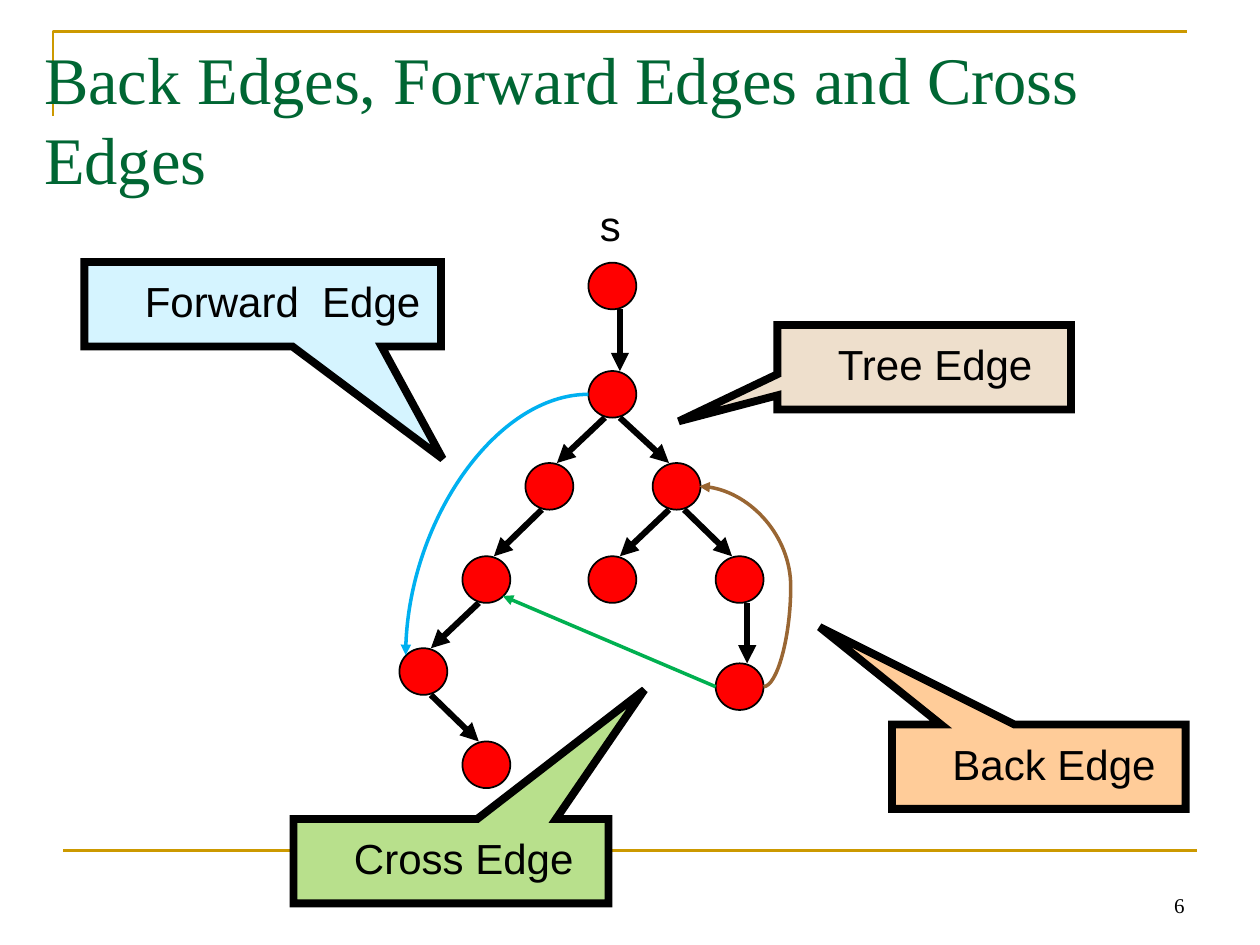
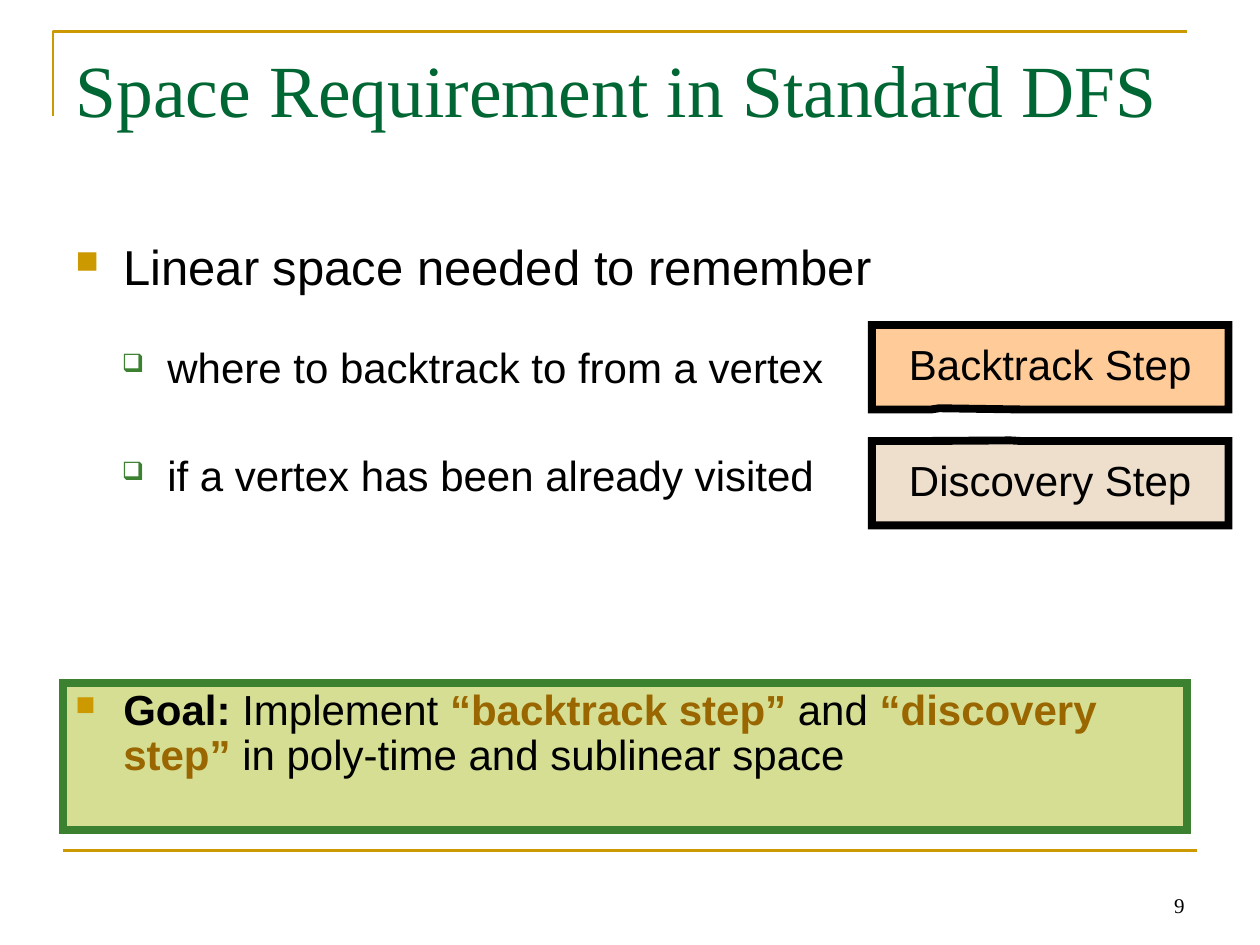
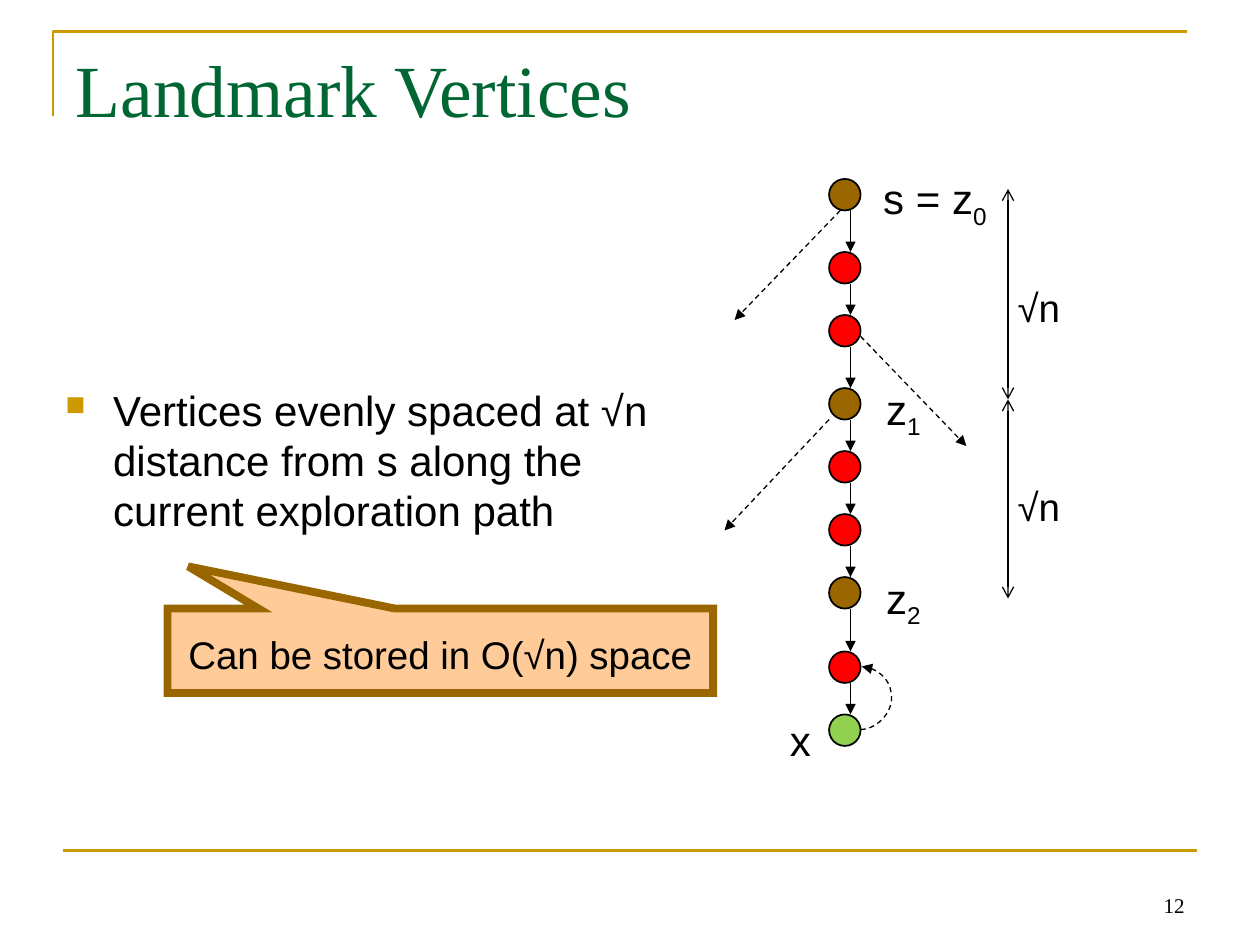
from lxml.etree import SubElement
from pptx import Presentation
from pptx.dml.color import RGBColor
from pptx.enum.dml import MSO_LINE
from pptx.enum.shapes import MSO_CONNECTOR as LINK, MSO_SHAPE as SHAPE
from pptx.enum.text import MSO_ANCHOR as ANCHOR, MSO_AUTO_SIZE as FIT, PP_ALIGN as ALIGN
from pptx.oxml.ns import qn
from pptx.util import Inches, Pt

BLACK = RGBColor(0x00, 0x00, 0x00)
GOLD = RGBColor(0xCC, 0x99, 0x00)
PINE = RGBColor(0x00, 0x66, 0x33)
LEAF = RGBColor(0x3B, 0x81, 0x2F)
RED = RGBColor(0xFF, 0x00, 0x00)
OCHRE = RGBColor(0x99, 0x66, 0x00)
BROWN = RGBColor(0x99, 0x66, 0x33)
BLUE = RGBColor(0x00, 0xB0, 0xF0)
GREEN = RGBColor(0x00, 0xB0, 0x50)
LIME = RGBColor(0x92, 0xD0, 0x50)
PEACH = RGBColor(0xFF, 0xCC, 0x99)
SAND = RGBColor(0xEE, 0xDF, 0xCC)
SKY = RGBColor(0xD5, 0xF4, 0xFF)
MOSS = RGBColor(0xB8, 0xE0, 0x8C)
OLIVE = RGBColor(0xD5, 0xDE, 0x92)
SANS, SERIF = "Arial", "Times New Roman"


def style(para, size, color=BLACK, face=SANS):
    for run in para.runs:
        run.font.size = Pt(size)
        run.font.name = face
        run.font.color.rgb = color


def join(slide, start, end, color=BLACK, width=0.75, kind=LINK.STRAIGHT,
         dash=False, head=None, tail="triangle"):
    """Draw a line between two points in inches, without a shadow."""
    link = slide.shapes.add_connector(kind, *map(Inches, (*start, *end)))
    link.line.color.rgb = color
    link.line.width = Pt(width)
    if dash:
        link.line.dash_style = MSO_LINE.DASH
    ln = link.line._get_or_add_ln()
    for tag, tip in (("a:headEnd", head), ("a:tailEnd", tail)):
        if tip:
            SubElement(ln, qn(tag)).set("type", tip)
    SubElement(link._element.spPr, qn("a:effectLst"))
    return link


deck = Presentation()
deck.slide_width, deck.slide_height = Inches(10), Inches(7.5)

# Title, corner band, bottom rule and page number of each slide
slides = []
for words, size, left, top, width, page in (
    ("Back Edges, Forward Edges and Cross Edges", 38, 0.25, 0.25, 9.58, 6),
    ("Space Requirement in Standard DFS", 42, 0.5, 0.3, 9, 9),
    ("Landmark Vertices", 42, 0.5, 0.3, 9, 12),
):
    slide = deck.slides.add_slide(deck.slide_layouts[5])
    slides.append(slide)
    path = slide.shapes.build_freeform(Inches(0.42), Inches(0.92))
    path.add_line_segments([(Inches(0.42), Inches(0.25)),
                            (Inches(9.42), Inches(0.25))], close=False)
    band = path.convert_to_shape()
    band.fill.background()
    band.line.color.rgb = GOLD
    band.line.width = Pt(1.5)
    band.shadow.inherit = False
    join(slide, (0.5, 6.75), (9.5, 6.75), GOLD, 1.5, tail=None)

    title = slide.shapes.title
    slide.shapes._spTree.append(title._element)  # in front of the band
    title.left, title.top = Inches(left), Inches(top)
    title.width, title.height = Inches(width), Inches(1.25)
    frame = title.text_frame
    frame.text = words
    frame.auto_size = FIT.NONE
    frame.vertical_anchor = ANCHOR.TOP
    frame.paragraphs[0].alignment = ALIGN.LEFT
    style(frame.paragraphs[0], size, PINE, SERIF)

    box = slide.shapes.add_textbox(Inches(7.17), Inches(6.83), Inches(2.33), Inches(0.5))
    frame = box.text_frame
    frame.text = str(page)
    frame.word_wrap = True
    frame.vertical_anchor = ANCHOR.BOTTOM
    frame.paragraphs[0].alignment = ALIGN.RIGHT
    style(frame.paragraphs[0], 12, face=SERIF)
edges, space, marks = slides

# Search tree: centre of each vertex, then its edges
WIDE, HIGH, SHIFT = 0.38, 0.37, 0.06
tree = {
    "s": (4.86, 2.27), "a": (4.86, 3.13), "b": (4.36, 3.86), "c": (5.37, 3.86),
    "d": (3.86, 4.6), "e": (4.86, 4.6), "f": (5.87, 4.6),
    "g": (3.36, 5.33), "h": (5.87, 5.45), "i": (3.86, 6.07),
}
for one, two in ("sa", "ab", "ac", "bd", "ce", "cf", "dg", "fh", "gi"):
    (x1, y1), (x2, y2) = tree[one], tree[two]
    out = SHIFT if x2 >= x1 else -SHIFT
    into = -SHIFT if x2 > x1 else SHIFT
    join(edges, (x1 + out, y1 + HIGH / 2), (x2 + into, y2 - HIGH / 2), width=3.5)

# Path of landmarks
tops = (1.42, 2, 2.5, 3.08, 3.58, 4.08, 4.58, 5.17, 5.67)
tints = (OCHRE, RED, RED) * 2 + (OCHRE, RED, LIME)
DOT = 0.25
for y1, y2 in zip(tops, tops[1:]):
    join(marks, (6.75, y1 + DOT), (6.75, y2))

dots = [(edges, x - WIDE / 2, y - HIGH / 2, WIDE, HIGH, RED) for x, y in tree.values()]
dots += [(marks, 6.58, y, DOT, DOT, tint) for y, tint in zip(tops, tints)]
for slide, *spot, tint in dots:
    dot = slide.shapes.add_shape(SHAPE.OVAL, *map(Inches, spot))
    dot.fill.solid()
    dot.fill.fore_color.rgb = tint
    dot.line.color.rgb = BLACK
    dot.line.width = Pt(1)
    dot.shadow.inherit = False

# Edges outside the tree and side branches
join(edges, (5.68, 5.45), (3.99, 4.73), GREEN, 2)
ahead = join(edges, (4.67, 3.13), (3.22, 5.2), BLUE, 2, LINK.CURVE)
ahead._element.spPr.prstGeom.set("prst", "curvedConnector2")
back = join(edges, (6.06, 5.45), (5.55, 3.86), BROWN, 2, LINK.CURVE)
loop = join(marks, (6.83, 5.79), (6.84, 5.29), kind=LINK.CURVE, dash=True)
for link, bend in ((back, -42400), (loop, 2500000)):
    guide = SubElement(link._element.spPr.prstGeom.find(qn("a:avLst")), qn("a:gd"))
    guide.set("name", "adj1")
    guide.set("fmla", f"val {bend}")
for start, end in (((6.83, 2.67), (7.67, 3.54)), ((6.67, 1.67), (5.83, 2.54)),
                   ((6.58, 3.33), (5.75, 4.21))):
    join(marks, start, end, dash=True)
for y1, y2 in ((1.5, 3.17), (3.17, 4.75)):
    join(marks, (8, y1), (8, y2), head="arrow", tail="arrow")

# Vertex and distance labels, some with a subscript
for slide, left, top, width, size, words, sub in (
    (edges, 4.33, 1.58, 1.03, 24, "s", ""),
    (marks, 6.67, 1.33, 1.5, 24, "s = z", "0"),
    (marks, 6.42, 3, 1.5, 24, "z", "1"),
    (marks, 6.42, 4.5, 1.5, 24, "z", "2"),
    (marks, 7.83, 2.25, 0.83, 22, "√n", ""),
    (marks, 7.83, 3.83, 0.83, 22, "√n", ""),
    (marks, 6.17, 5.67, 0.33, 24, "x", ""),
):
    box = slide.shapes.add_textbox(Inches(left), Inches(top), Inches(width), Inches(0.47))
    box.text_frame.word_wrap = True
    para = box.text_frame.paragraphs[0]
    para.text = words
    para.alignment = ALIGN.CENTER
    para.line_spacing = 0.9
    if sub:
        run = para.add_run()
        run.text = sub
        run.font._element.set("baseline", "-25000")
    style(para, size)

# Callouts, and the goal panel as a plain rectangle
panels = []
for slide, left, top, width, height, tip, fill, edge, words, size, side in (
    (edges, 6.17, 2.58, 2.33, 0.67, (-0.836, 0.64), SAND, BLACK, "Tree Edge", 24, ALIGN.LEFT),
    (edges, 7.08, 5.75, 2.33, 0.67, (-0.747, -1.654), PEACH, BLACK, "Back Edge", 24, ALIGN.LEFT),
    (edges, 0.67, 2.08, 2.83, 0.67, (0.505, 1.831), SKY, BLACK, "Forward  Edge", 24, ALIGN.LEFT),
    (edges, 2.33, 6.5, 2.5, 0.67, (0.614, -2.029), MOSS, BLACK, "Cross Edge", 24, ALIGN.LEFT),
    (space, 6.92, 2.58, 2.83, 0.67, (-0.311, 0.486), PEACH, BLACK, "Backtrack Step", 24, ALIGN.CENTER),
    (space, 6.92, 3.5, 2.83, 0.67, (-0.111, -0.507), SAND, BLACK, "Discovery Step", 24, ALIGN.CENTER),
    (marks, 1.33, 4.83, 4.33, 0.67, (-0.462, -0.999), PEACH, OCHRE,
     "Can be stored in O(√n) space", 22, ALIGN.CENTER),
    (space, 0.5, 5.42, 8.92, 1.17, None, OLIVE, LEAF, "", 24, ALIGN.LEFT),
):
    kind = SHAPE.RECTANGULAR_CALLOUT if tip else SHAPE.RECTANGLE
    panel = slide.shapes.add_shape(kind, *map(Inches, (left, top, width, height)))
    panels.append(panel)
    if tip:
        panel.adjustments[0], panel.adjustments[1] = tip
    panel.fill.solid()
    panel.fill.fore_color.rgb = fill
    panel.line.color.rgb = edge
    panel.line.width = Pt(4.5)
    SubElement(panel.line._get_or_add_ln(), qn("a:miter")).set("lim", "800000")
    panel.shadow.inherit = False
    frame = panel.text_frame
    frame.word_wrap = True
    frame.vertical_anchor = ANCHOR.MIDDLE if tip else ANCHOR.TOP
    if tip and side == ALIGN.LEFT:
        frame.margin_left = Inches(0.48)
        frame.margin_right = 0
    para = frame.paragraphs[0]
    para.text = words
    para.alignment = side
    para.line_spacing = 0.9
    style(para, size)
panels[-2].text_frame.margin_top = Inches(0.15)

goal = panels[-1].text_frame.paragraphs[0]
for words, strong, color in (
    ("Goal:", True, BLACK),
    (" Implement ", False, BLACK),
    ("“backtrack step”", True, OCHRE),
    (" and ", False, BLACK),
    ("“discovery step”", True, OCHRE),
    (" in poly-time and sublinear space", False, BLACK),
):
    run = goal.add_run()
    run.text = words
    run.font.size = Pt(24)
    run.font.name = SANS
    run.font.bold = strong
    run.font.color.rgb = color

# Bulleted text: words, size, level, space before
points = [(goal, 0)]
for slide, left, top, width, height, items in (
    (space, 0.5, 1.83, 9, 2.83, (
        ("Linear space needed to remember", 28, 0, 0),
        ("where to backtrack to from a vertex", 24, 1, 26),
        ("if a vertex has been already visited", 24, 1, 33))),
    (marks, 0.42, 3, 5, 1.67, (
        ("Vertices evenly spaced at √n distance from s along the current exploration path",
         24, 0, 0),)),
):
    box = slide.shapes.add_textbox(*map(Inches, (left, top, width, height)))
    frame = box.text_frame
    frame.word_wrap = True
    frame.text = "\n".join(item[0] for item in items)
    for para, (_, size, level, gap) in zip(frame.paragraphs, items):
        para.space_before = Pt(gap)
        style(para, size)
        points.append((para, level))

for para, level in points:
    mark, color, scale, left, hang = (("■", GOLD, 65, 0.38, 0.38),
                                      ("❑", LEAF, 60, 0.73, 0.36))[level]
    props = para._p.get_or_add_pPr()
    props.set("marL", str(Inches(left)))
    props.set("indent", str(-Inches(hang)))
    tint = SubElement(props, qn("a:buClr"))
    SubElement(tint, qn("a:srgbClr")).set("val", str(color))
    SubElement(props, qn("a:buSzPct")).set("val", str(scale * 1000))
    SubElement(props, qn("a:buChar")).set("char", mark)

deck.save("out.pptx")
